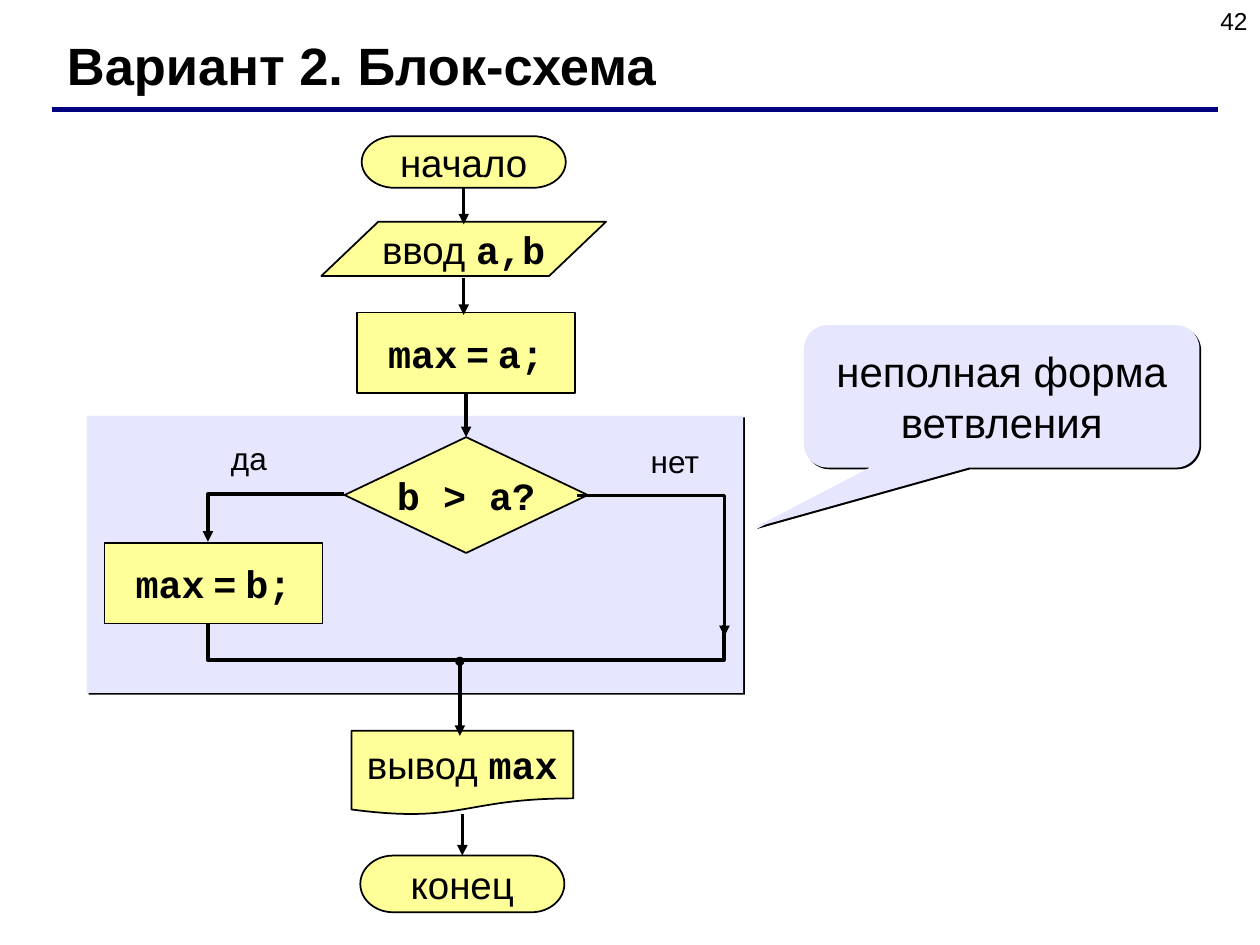
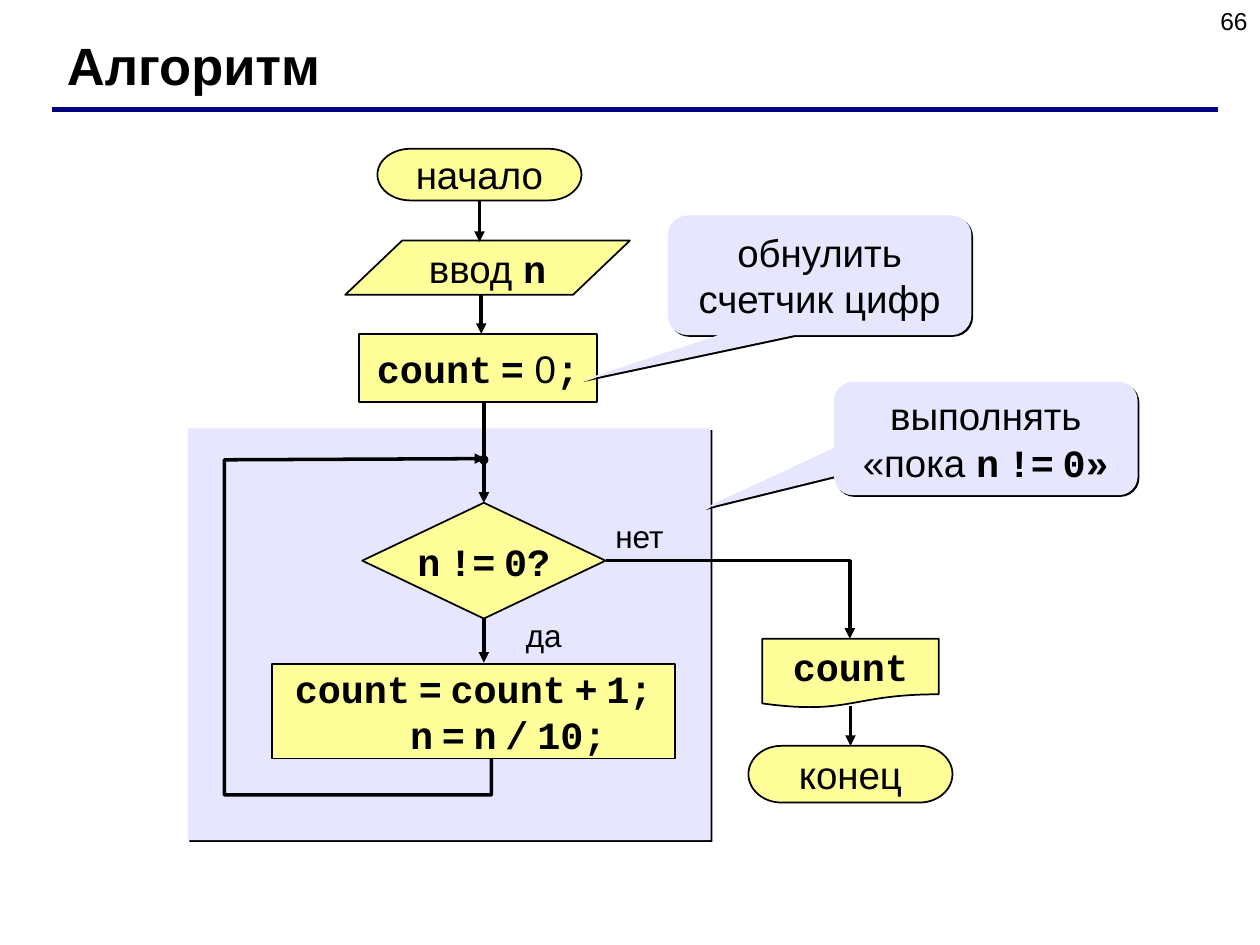
import pptx
import pptx.util
import pptx.dml.color
import pptx.enum.shapes
import pptx.enum.text
import pptx.oxml.ns
from dataclasses import dataclass
from lxml import etree

Pt = pptx.util.Pt
RGB = pptx.dml.color.RGBColor.from_string
SHAPE = pptx.enum.shapes.MSO_SHAPE
ALIGN = pptx.enum.text.PP_ALIGN
ANCHOR = pptx.enum.text.MSO_ANCHOR
qn = pptx.oxml.ns.qn


@dataclass(frozen=True)
class Theme:
    ink: str = "000000"
    rule: str = "000080"
    node: str = "FFFF99"
    panel: str = "E6E6FF"
    font: str = "Arial"
    mono: str = "Courier New"
    title: int = 30
    callout: int = 24
    body: int = 22
    label: int = 18
    number: int = 14
    outline: int = 1
    flow: int = 2
    title_rule: int = 3


T = Theme()
TERMINATOR_W, IO_W, IO_H = 116.6, 162.7, 31
START_H, END_H = 29.5, 32.4
DECISION_W, DECISION_H = 139, 66.2


def plain(text, size=T.body, bold=False):
    return [(text, T.font, size, bold)]


def code(text):
    return [(text, T.mono, T.body, True)]


def tight_code(text):
    runs = []
    for i, word in enumerate(text.split(" ")):
        if i:
            runs += plain(" ", T.label, True)
        runs += code(word)
    return runs


def write(shape, *lines, align=ALIGN.CENTER, anchor=ANCHOR.MIDDLE, wrap=True):
    tf = shape.text_frame
    tf.word_wrap = wrap
    tf.auto_size = pptx.enum.text.MSO_AUTO_SIZE.NONE
    tf.vertical_anchor = anchor
    for i, line in enumerate(lines):
        p = tf.add_paragraph() if i else tf.paragraphs[0]
        p.alignment = align
        for text, font, size, bold in line:
            r = p.add_run()
            r.text = text
            r.font.name = font
            r.font.size = Pt(size)
            r.font.bold = bold
            r.font.color.rgb = RGB(T.ink)


def add_filled(s, kind, left, top, width, height, fill, outlined=True):
    sp = s.shapes.add_shape(kind, Pt(left), Pt(top), Pt(width), Pt(height))
    sp.shadow.inherit = False
    sp.fill.solid()
    sp.fill.fore_color.rgb = RGB(fill)
    if outlined:
        sp.line.color.rgb = RGB(T.ink)
        sp.line.width = Pt(T.outline)
    else:
        sp.line.fill.background()
    return sp


def add_node(s, kind, center, top, width, height, *lines):
    sp = add_filled(s, kind, center - width / 2, top, width, height, T.node)
    write(sp, *lines, wrap=False)
    return sp


def add_start(s, center, top):
    return add_node(s, SHAPE.FLOWCHART_TERMINATOR, center, top,
                    TERMINATOR_W, START_H, plain("начало"))


def add_end(s, center, top):
    return add_node(s, SHAPE.FLOWCHART_TERMINATOR, center, top,
                    TERMINATOR_W, END_H, plain("конец"))


def add_input(s, center, top, names):
    return add_node(s, SHAPE.FLOWCHART_DATA, center, top, IO_W, IO_H,
                    plain("ввод ") + code(names))


def add_decision(s, center, top, question):
    return add_node(s, SHAPE.FLOWCHART_DECISION, center, top,
                    DECISION_W, DECISION_H, question)


def add_dot(s, left, top):
    add_filled(s, SHAPE.OVAL, left, top, 4.3, 4.3, T.ink)


def add_panel(s, left, top, width, height, kind=SHAPE.RECTANGLE):
    sp = add_filled(s, kind, left, top, width, height, T.panel, outlined=False)
    effects = sp.element.spPr.find(qn("a:effectLst"))
    shadow = etree.SubElement(effects, qn("a:outerShdw"), dist=str(int(Pt(1.4))),
                              dir="2700000", algn="ctr", rotWithShape="0")
    etree.SubElement(shadow, qn("a:srgbClr"), val=T.ink)
    return sp


def add_callout(s, left, top, width, height, pointer, text):
    sp = add_panel(s, left, top, width, height, SHAPE.ROUNDED_RECTANGULAR_CALLOUT)
    sp.adjustments[0], sp.adjustments[1] = pointer
    write(sp, text)


def add_text(s, left, top, width, height, text, **layout):
    sp = s.shapes.add_textbox(Pt(left), Pt(top), Pt(width), Pt(height))
    write(sp, text, **layout)


def add_label(s, left, top, text):
    add_text(s, left, top, 54, 28.8, plain(text, T.label))


def style_line(sp, color, width, arrow):
    sp.line.color.rgb = RGB(color)
    sp.line.width = Pt(width)
    if arrow:
        ln = sp.element.spPr.find(qn("a:ln"))
        etree.SubElement(ln, qn("a:tailEnd"), type="triangle")


def add_line(s, x1, y1, x2, y2, color=T.ink, width=T.flow, arrow=False):
    c = s.shapes.add_connector(pptx.enum.shapes.MSO_CONNECTOR.STRAIGHT,
                               Pt(x1), Pt(y1), Pt(x2), Pt(y2))
    style_line(c, color, width, arrow)
    etree.SubElement(c.element.spPr, qn("a:effectLst"))
    return c


def add_arrow(s, x, top, bottom, begin=None, end=None):
    c = add_line(s, x, top, x, bottom, arrow=True)
    if begin is not None:
        c.begin_connect(begin, 2)
    if end is not None:
        c.end_connect(end, 0)


def add_route(s, points, arrow=True):
    corners = [(Pt(x), Pt(y)) for x, y in points]
    builder = s.shapes.build_freeform(*corners[0])
    builder.add_line_segments(corners[1:], close=False)
    sp = builder.convert_to_shape()
    sp.shadow.inherit = False
    sp.fill.background()
    style_line(sp, T.ink, T.flow, arrow)


def add_titled_slide(prs, title, number):
    s = prs.slides.add_slide(prs.slide_layouts[5])
    sp = s.shapes.title
    sp.left, sp.top, sp.width, sp.height = Pt(31), Pt(15.5), Pt(641), Pt(43)
    write(sp, plain(title, T.title, True), align=ALIGN.LEFT)
    add_text(s, 552, 0, 168, 37.5, plain(number, T.number),
             align=ALIGN.RIGHT, anchor=ANCHOR.TOP)
    add_line(s, 29.5, 62.7, 696.2, 62.7, T.rule, T.title_rule)
    return s


def build_branch_slide(prs):
    s = add_titled_slide(prs, "Вариант 2. Блок-схема", "42")
    add_panel(s, 49.7, 237.6, 375, 158.4)
    add_callout(s, 459.4, 185.8, 226, 81.4, (-0.624, 0.92),
                plain("неполная форма ветвления", T.callout))

    start = add_start(s, 265, 77.8)
    add_input(s, 265, 126.7, "a,b")
    assign_a = add_node(s, SHAPE.RECTANGLE, 266.4, 178.6, 124.6, 46,
                        tight_code("max = a;"))
    decision = add_decision(s, 266.4, 249.8, code("b > a?"))
    add_node(s, SHAPE.RECTANGLE, 122, 310.3, 124.6, 46, tight_code("max = b;"))
    add_node(s, SHAPE.FLOWCHART_DOCUMENT, 264.2, 417.6, 126.7, 48.2,
             plain("вывод ") + code("max"))
    end = add_end(s, 264.2, 488.9)

    add_arrow(s, 265, 107.3, 128.2, begin=start)
    add_arrow(s, 265, 159.1, 180)
    add_arrow(s, 266.4, 224.6, 249.8, begin=assign_a, end=decision)
    add_arrow(s, 262.8, 378.7, 420.5)
    add_arrow(s, 264.2, 465.1, 488.9, end=end)
    add_route(s, [(196.6, 282.2), (118.8, 282.2), (118.8, 309.6)])
    add_route(s, [(329.8, 283), (414, 283), (414, 363.6)])
    add_route(s, [(118.8, 356.4), (118.8, 377.3), (413.6, 377.3), (413.6, 357.1)],
              arrow=False)
    add_dot(s, 260.6, 375.8)
    add_label(s, 115.2, 247, "да")
    add_label(s, 358.6, 249, "нет")


def build_loop_slide(prs):
    s = add_titled_slide(prs, "Алгоритм", "66")
    add_panel(s, 107.3, 244.8, 298.8, 235.4)

    start = add_start(s, 274, 85)
    add_node(s, SHAPE.FLOWCHART_DOCUMENT, 486, 365, 100.8, 39.6, code("count"))
    end = add_end(s, 486, 426.2)
    decision = add_decision(s, 276.5, 287.3, tight_code("n != 0?"))
    add_node(s, SHAPE.FLOWCHART_PROCESS, 273.2, 190.8, 136, 38.9,
             tight_code("count =") + plain(" 0") + code(";"))
    add_input(s, 278.6, 137.5, "n")
    add_route(s, [(280.8, 429.1), (280.8, 454.3), (128.2, 454.3),
                  (128.2, 262.8), (277.2, 262.1)])
    add_node(s, SHAPE.FLOWCHART_PROCESS, 270.7, 379.4, 230.4, 54,
             tight_code("count = count + 1;"),
             code("   ") + tight_code("n = n / 10;"))

    add_arrow(s, 274, 114.5, 138.2, begin=start)
    add_arrow(s, 275, 168.5, 190.8)
    add_arrow(s, 276.5, 229.7, 287.3, end=decision)
    add_arrow(s, 276.5, 353.5, 378.7, begin=decision)
    add_arrow(s, 486, 403.2, 426.2, end=end)
    add_route(s, [(346.3, 320.4), (485.6, 320.4), (485.6, 365)])
    add_dot(s, 274.3, 260.6)
    add_label(s, 338.4, 291.6, "нет")
    add_label(s, 283.7, 348.5, "да")
    add_callout(s, 381.6, 123.1, 173.5, 68.4, (-0.784, 0.878),
                plain("обнулить счетчик цифр"))
    add_callout(s, 476.6, 218.2, 173.5, 64.8, (-0.929, 0.616),
                plain("выполнять «пока ") + tight_code("n != 0»"))


def main():
    prs = pptx.Presentation()
    prs.slide_width, prs.slide_height = Pt(720), Pt(540)
    build_branch_slide(prs)
    build_loop_slide(prs)
    prs.save("out.pptx")


if __name__ == "__main__":
    main()
